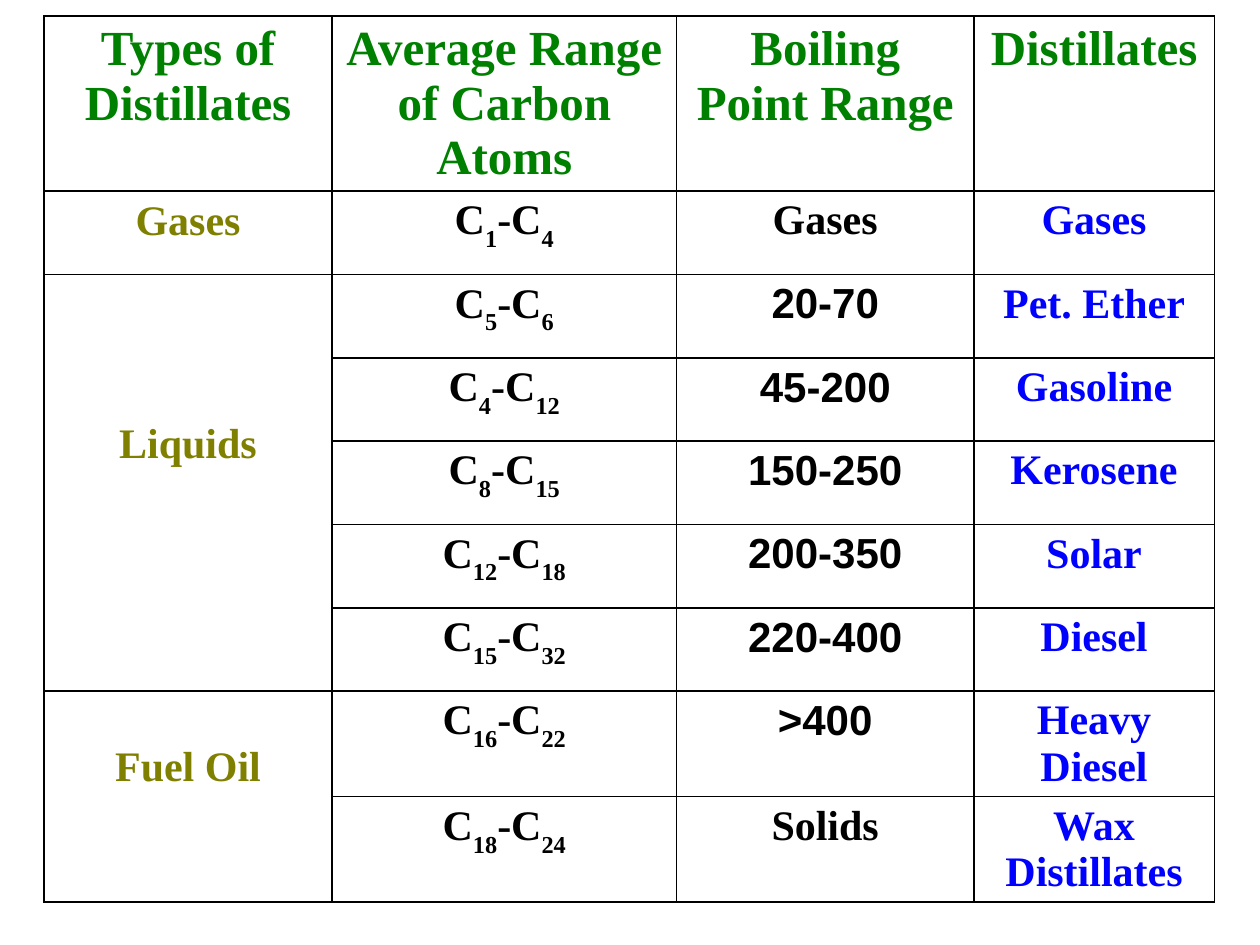
from dataclasses import dataclass
from itertools import product

from lxml.etree import SubElement
from pptx import Presentation
from pptx.dml.color import RGBColor
from pptx.enum.text import PP_ALIGN as Align
from pptx.oxml.ns import qn
from pptx.util import Cm, Pt


@dataclass(frozen=True)
class Theme:
    """Colours, fonts and type sizes of the slide."""
    heading: RGBColor = RGBColor(0x00, 0x80, 0x00)
    kind: RGBColor = RGBColor(0x80, 0x80, 0x00)
    product: RGBColor = RGBColor(0x00, 0x00, 0xFF)
    text: RGBColor = RGBColor(0x00, 0x00, 0x00)
    font: str = "Times New Roman"
    digit_font: str = "Arial"
    heading_size: int = 28
    body_size: int = 24
    border_width: int = 1


class SlideBuilder:
    """Holds the theme and the current page."""

    def __init__(self, page, theme):
        """Keep the page to draw on and its theme."""
        self.page, self.theme = page, theme

    def table(self, left, top, widths, heights):
        """Add a plain bordered table, with sizes in centimetres."""
        frame = self.page.shapes.add_table(
            len(heights), len(widths), Cm(left), Cm(top),
            Cm(sum(widths)), Cm(sum(heights)))
        table = frame.table
        table.first_row = table.horz_banding = False
        for column, width in zip(table.columns, widths):
            column.width = Cm(width)
        for row, height in zip(table.rows, heights):
            row.height = Cm(height)
        for row, column in product(range(len(heights)), range(len(widths))):
            self.border(table.cell(row, column))
        return table

    def border(self, cell):
        """Draw the four cell edges and leave the cell unfilled."""
        properties = cell._tc.get_or_add_tcPr()
        for edge in ("lnL", "lnR", "lnT", "lnB"):
            line = SubElement(properties, qn(f"a:{edge}"),
                              w=str(Pt(self.theme.border_width)))
            fill = SubElement(line, qn("a:solidFill"))
            SubElement(fill, qn("a:srgbClr"), val=str(self.theme.text))
        cell.fill.background()

    def paragraph(self, cell, color, size, rtl=True):
        """Style and return the first paragraph of a cell."""
        para = cell.text_frame.paragraphs[0]
        para.alignment = Align.CENTER
        para.font.name, para.font.size = self.theme.font, Pt(size)
        para.font.bold, para.font.color.rgb = True, color
        if rtl:
            properties = para._p.get_or_add_pPr()
            properties.set("rtl", "1")
            SubElement(properties.find(qn("a:defRPr")), qn("a:cs"),
                       typeface=self.theme.digit_font)
        return para

    def label(self, cell, text, color, size=None):
        """Write a centred right-to-left label."""
        para = self.paragraph(cell, color, size or self.theme.body_size)
        para.add_run().text = text

    def carbon_range(self, cell, first, last):
        """Write a carbon range with subscript atom counts."""
        para = self.paragraph(cell, self.theme.text, self.theme.body_size,
                              rtl=False)
        for symbol, count in (("C", first), ("-C", last)):
            para.add_run().text = symbol
            span = para.add_run()
            span.text = str(count)
            span.font._element.set("baseline", "-30000")


HEADINGS = ("Types of Distillates", "Average Range of Carbon Atoms",
            "Boiling Point Range", "Distillates")
FRACTIONS = (
    (1, 4, "Gases", "Gases"),
    (5, 6, "20-70", "Pet. Ether"),
    (4, 12, "45-200", "Gasoline"),
    (8, 15, "150-250", "Kerosene"),
    (12, 18, "200-350", "Solar"),
    (15, 32, "220-400", "Diesel"),
    (16, 22, "400<", "Heavy Diesel"),
    (18, 24, "Solids", "Wax Distillates"),
)
# Name, number of rows, top margin in centimetres
KINDS = (("Gases", 1, 0.13), ("Liquids", 5, 2.95), ("Fuel Oil", 2, 1.06))


def main():
    """Build the distillates table and save the deck."""
    deck = Presentation()
    deck.slide_width, deck.slide_height = Cm(25.4), Cm(19.05)
    theme = Theme()
    builder = SlideBuilder(deck.slides.add_slide(deck.slide_layouts[6]), theme)
    table = builder.table(0.89, 0.32, (5.8, 6.95, 5.99, 4.85),
                          (3.25, *[1.68] * 7, 2.01))

    for column, heading in enumerate(HEADINGS):
        builder.label(table.cell(0, column), heading, theme.heading,
                      theme.heading_size)

    for row, (first, last, boiling, name) in enumerate(FRACTIONS, start=1):
        builder.carbon_range(table.cell(row, 1), first, last)
        builder.label(table.cell(row, 2), boiling, theme.text)
        builder.label(table.cell(row, 3), name, theme.product)

    row = 1
    for name, count, margin in KINDS:
        cell = table.cell(row, 0)
        if count > 1:
            cell.merge(table.cell(row + count - 1, 0))
        cell.margin_top = Cm(margin)
        builder.label(cell, name, theme.kind)
        row += count

    deck.save("out.pptx")


main()
